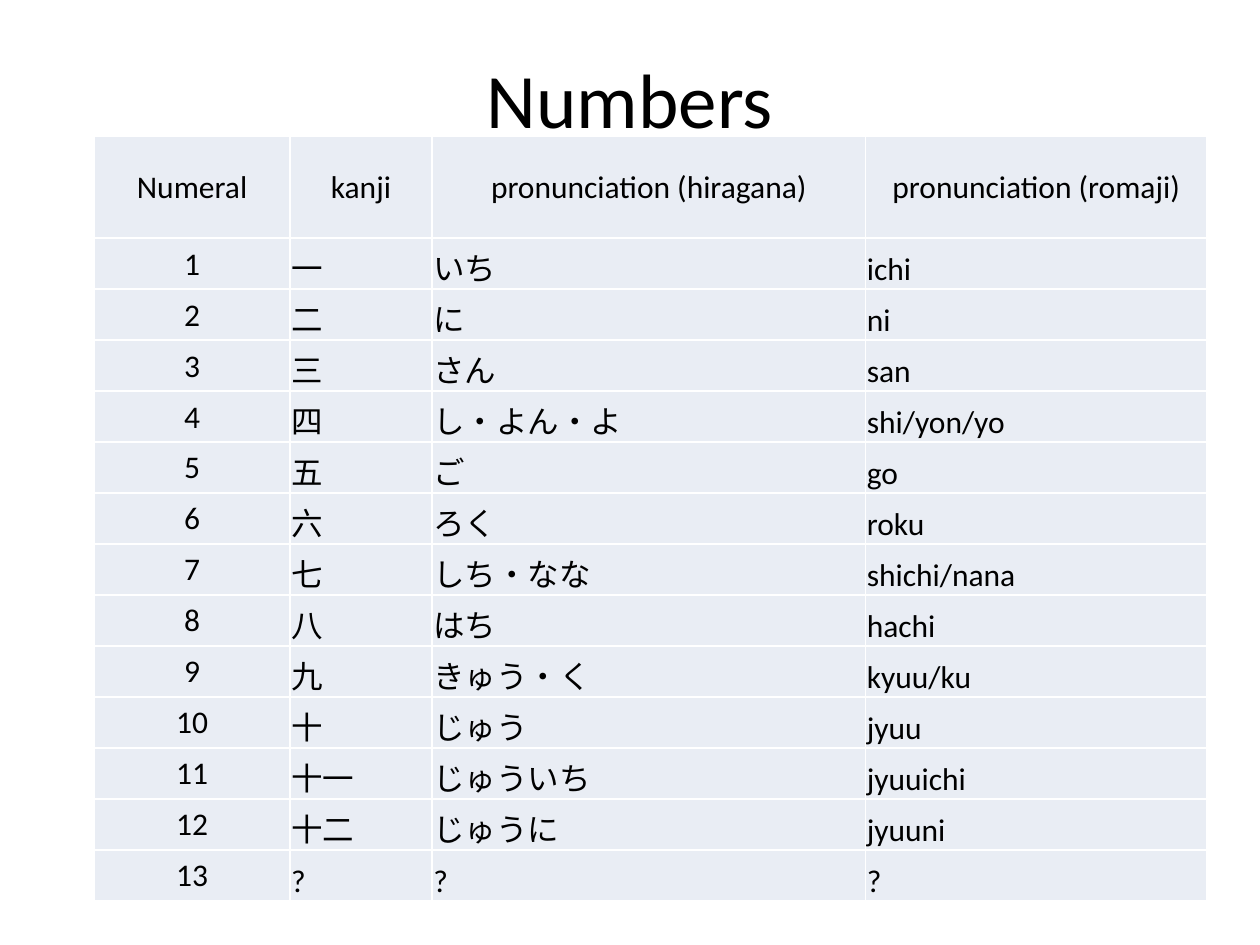
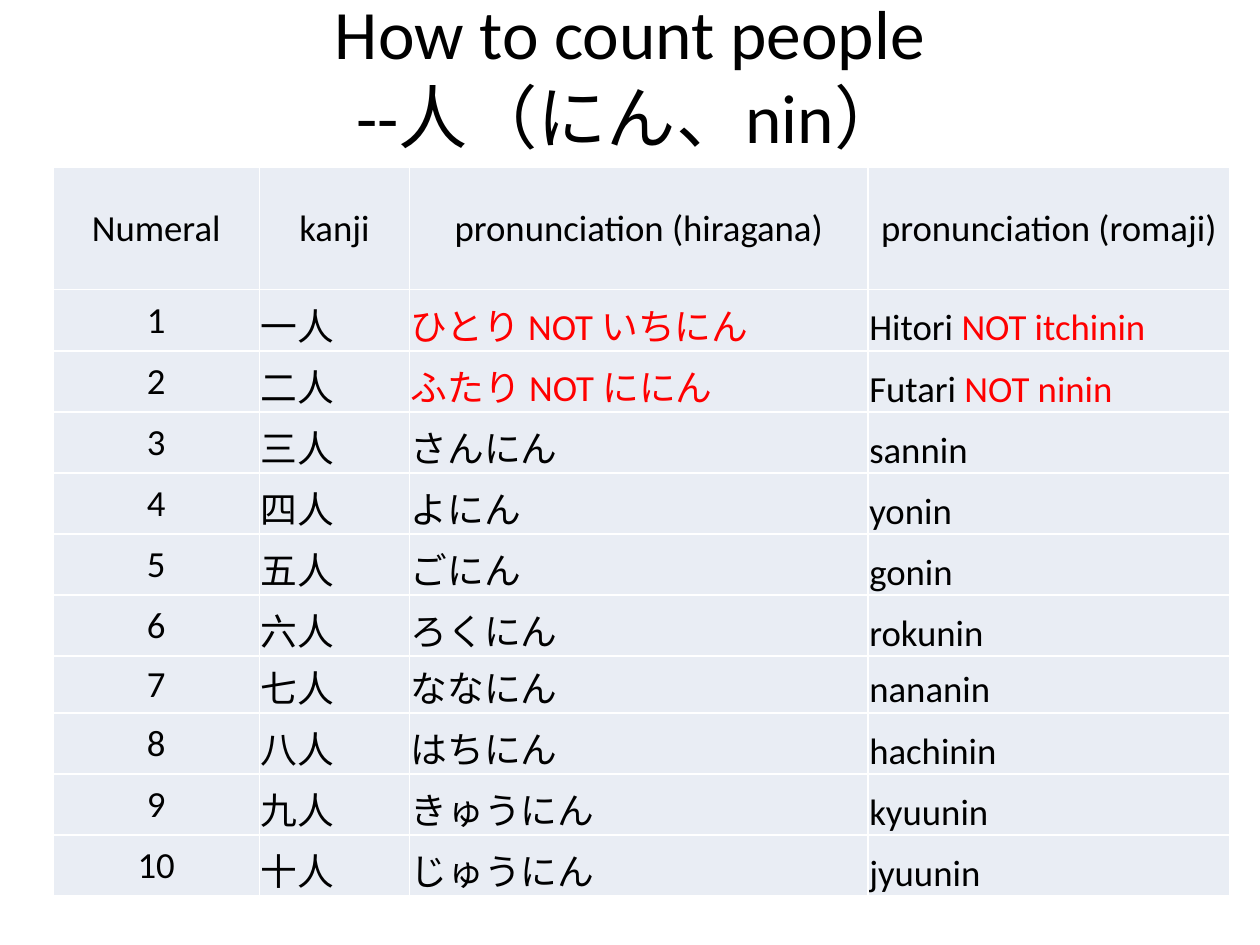
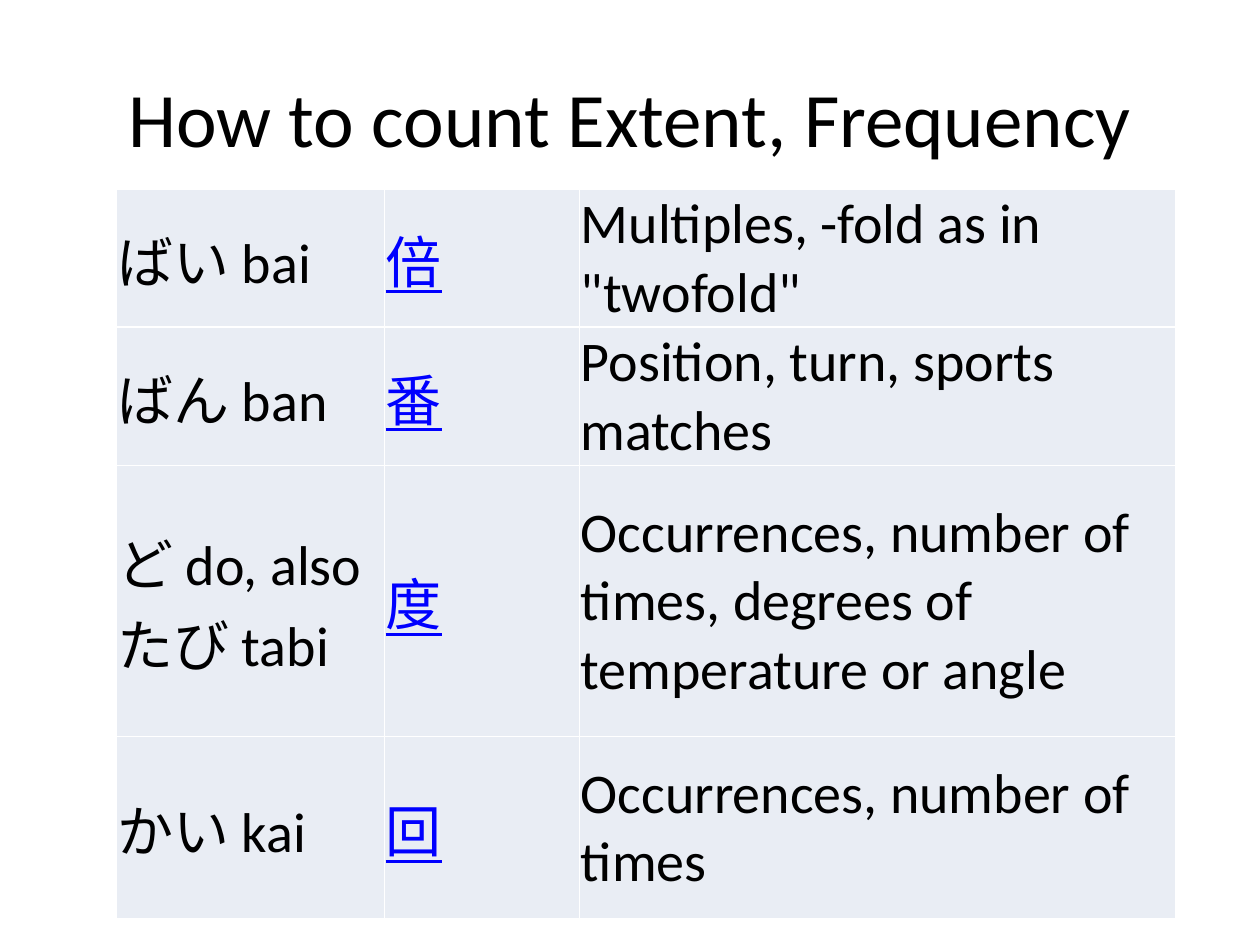
from dataclasses import dataclass
from typing import NamedTuple

from lxml import etree
from pptx import Presentation
from pptx import util as u
from pptx.dml.color import RGBColor
from pptx.enum import text as t
from pptx.oxml import ns

# Shared look
COLORS = {"ink": "000000", "warning": "FF0000", "link": "0000FF",
          "cell": "E9EDF4", "border": "FFFFFF"}
FONT = "Calibri"
BORDER_PT = 1
CELL_MARGIN = 0.01
TITLE_ONLY = 5
HEADINGS = ("Numeral", "kanji", "pronunciation (hiragana)", "pronunciation (romaji)")


class Span(NamedTuple):
    text: str
    color: str = "ink"
    underline: bool = False


class Entry(NamedTuple):
    spans: tuple[Span, ...]
    centered: bool = False
    anchor: t.MSO_ANCHOR = t.MSO_ANCHOR.MIDDLE


@dataclass
class Heading:
    text: str
    top: float
    height: float
    size: float = 44


@dataclass
class Grid:
    left: float
    top: float
    columns: list[float]
    rows: list[float]
    size: float
    entries: list[list[Entry]]


# Content
NUMBERS = [
    ("一", "いち", "ichi"),
    ("二", "に", "ni"),
    ("三", "さん", "san"),
    ("四", "し・よん・よ", "shi/yon/yo"),
    ("五", "ご", "go"),
    ("六", "ろく", "roku"),
    ("七", "しち・なな", "shichi/nana"),
    ("八", "はち", "hachi"),
    ("九", "きゅう・く", "kyuu/ku"),
    ("十", "じゅう", "jyuu"),
    ("十一", "じゅういち", "jyuuichi"),
    ("十二", "じゅうに", "jyuuni"),
    ("?", "?", "?"),
]

PEOPLE = [
    ("一人", Span("ひとり NOT いちにん", "warning"),
     (Span("Hitori "), Span("NOT itchinin", "warning"))),
    ("二人", Span("ふたり NOT ににん", "warning"),
     (Span("Futari "), Span("NOT ninin", "warning"))),
    ("三人", "さんにん", "sannin"),
    ("四人", "よにん", "yonin"),
    ("五人", "ごにん", "gonin"),
    ("六人", "ろくにん", "rokunin"),
    ("七人", "ななにん", "nananin"),
    ("八人", "はちにん", "hachinin"),
    ("九人", "きゅうにん", "kyuunin"),
    ("十人", "じゅうにん", "jyuunin"),
]

FREQUENCY = [
    ("ばい bai", "倍", 'Multiples, -fold as in "twofold"'),
    ("ばん ban", "番", "Position, turn, sports matches"),
    ("ど do, also たび tabi", "度",
     "Occurrences, number of times, degrees of temperature or angle"),
    ("かい kai", "回", "Occurrences, number of times"),
]


def as_spans(content: str | Span | tuple[Span, ...]) -> tuple[Span, ...]:
    if isinstance(content, str):
        return (Span(content),)
    return (content,) if isinstance(content, Span) else content


def counting_entries(words: list[tuple]) -> list[list[Entry]]:
    """Heading row, then numbered rows with the words at the bottom."""
    rows = [[Entry(as_spans(heading), centered=True) for heading in HEADINGS]]
    for number, row in enumerate(words, start=1):
        numeral = Entry(as_spans(str(number)), centered=True)
        rows.append([numeral] + [Entry(as_spans(word), anchor=t.MSO_ANCHOR.BOTTOM)
                                 for word in row])
    return rows


def frequency_entries() -> list[list[Entry]]:
    return [[Entry(as_spans(reading)),
             Entry((Span(kanji, "link", True),)),
             Entry(as_spans(meaning))] for reading, kanji, meaning in FREQUENCY]


# Drawing
def style_run(run, size: float, color: str) -> None:
    run.font.name = FONT
    run.font.size = u.Pt(size)
    run.font.color.rgb = RGBColor.from_string(COLORS[color])


def draw_heading(slide, heading: Heading) -> None:
    title = slide.shapes.title
    title.left, title.top = u.Inches(0.5), u.Inches(heading.top)
    title.width, title.height = u.Inches(9), u.Inches(heading.height)
    frame = title.text_frame
    frame.text = heading.text
    frame.auto_size = t.MSO_AUTO_SIZE.NONE
    frame.vertical_anchor = t.MSO_ANCHOR.MIDDLE
    paragraph = frame.paragraphs[0]
    paragraph.alignment = t.PP_ALIGN.CENTER
    for run in paragraph.runs:
        style_run(run, heading.size, "ink")


def add_borders(cell) -> None:
    properties = cell._tc.get_or_add_tcPr()
    for side in ("lnL", "lnR", "lnT", "lnB"):
        line = etree.SubElement(properties, ns.qn(f"a:{side}"), w=str(u.Pt(BORDER_PT)))
        fill = etree.SubElement(line, ns.qn("a:solidFill"))
        etree.SubElement(fill, ns.qn("a:srgbClr"), val=COLORS["border"])


def draw_entry(cell, entry: Entry, size: float) -> None:
    add_borders(cell)
    cell.fill.solid()
    cell.fill.fore_color.rgb = RGBColor.from_string(COLORS["cell"])
    cell.margin_left = cell.margin_top = cell.margin_right = u.Inches(CELL_MARGIN)
    cell.margin_bottom = 0
    cell.vertical_anchor = entry.anchor
    paragraph = cell.text_frame.paragraphs[0]
    paragraph.alignment = t.PP_ALIGN.CENTER if entry.centered else t.PP_ALIGN.LEFT
    for span in entry.spans:
        run = paragraph.add_run()
        run.text = span.text
        style_run(run, size, span.color)
        if span.underline:
            run.font.underline = True


def draw_grid(slide, grid: Grid) -> None:
    table = slide.shapes.add_table(
        len(grid.rows), len(grid.columns), u.Inches(grid.left), u.Inches(grid.top),
        u.Inches(sum(grid.columns)), u.Inches(sum(grid.rows))).table
    table.first_row = table.horz_banding = False
    for column, width in zip(table.columns, grid.columns):
        column.width = u.Inches(width)
    for row, height, entries in zip(table.rows, grid.rows, grid.entries):
        row.height = u.Inches(height)
        for cell, entry in zip(row.cells, entries):
            draw_entry(cell, entry, grid.size)


# Slides
SLIDES = [
    (Heading("Numbers", 0.3, 0.95),
     Grid(0.75, 1.08, [1.55, 1.13, 3.44, 2.71], [0.81] + [0.405] * len(NUMBERS),
          18, counting_entries(NUMBERS))),
    (Heading("How to count people\v--人（にん、nin）", 0, 1.17, 39.6),
     Grid(0.42, 1.33, [1.64, 1.19, 3.64, 2.87],
          [0.97] + [0.485] * 6 + [0.45] + [0.485] * 3, 21, counting_entries(PEOPLE))),
    (Heading("How to count Extent, Frequency", 0.3, 1.25),
     Grid(0.92, 1.5, [2.13, 1.55, 4.73], [1.08, 1.08, 2.15, 1.45],
          32, frequency_entries())),
]


def main() -> None:
    deck = Presentation()
    deck.slide_width, deck.slide_height = u.Inches(10), u.Inches(7.5)
    for heading, grid in SLIDES:
        slide = deck.slides.add_slide(deck.slide_layouts[TITLE_ONLY])
        draw_heading(slide, heading)
        draw_grid(slide, grid)
    deck.save("out.pptx")


if __name__ == "__main__":
    main()
